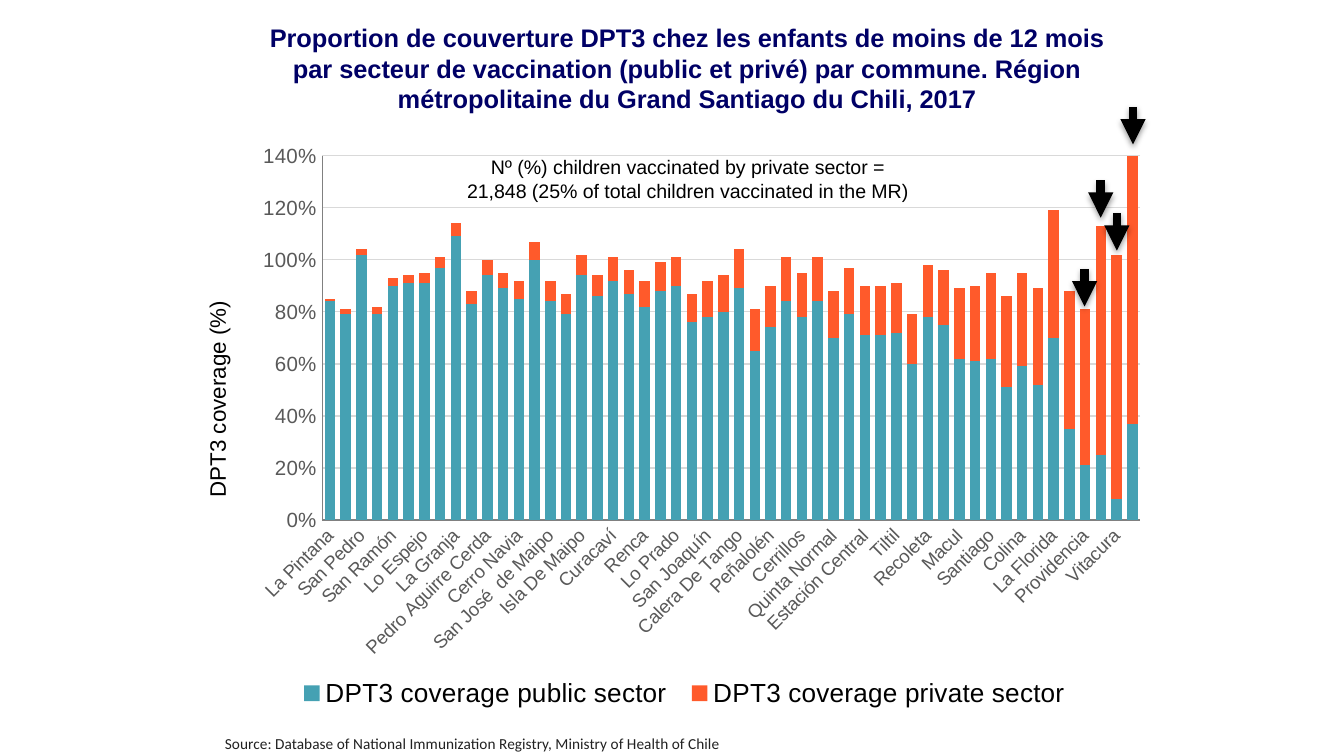
from lxml import etree
from pptx import Presentation
from pptx.chart.data import CategoryChartData
from pptx.dml.color import RGBColor
from pptx.enum.chart import XL_CHART_TYPE, XL_LEGEND_POSITION, XL_TICK_MARK
from pptx.enum.shapes import MSO_CONNECTOR
from pptx.enum.text import MSO_ANCHOR, PP_ALIGN
from pptx.oxml import parse_xml
from pptx.oxml.ns import nsdecls, qn
from pptx.util import Pt

PX = 4572  # 200 px to the inch

NAVY = RGBColor(0x00, 0x00, 0x66)
BLACK = RGBColor(0x00, 0x00, 0x00)
INK = RGBColor(0x21, 0x21, 0x21)
LABEL_GREY = RGBColor(0x59, 0x59, 0x59)
AXIS_GREY = RGBColor(0x80, 0x80, 0x80)
GRID_GREY = RGBColor(0xD9, 0xD9, 0xD9)
TEAL = RGBColor(0x45, 0xA1, 0xB3)
ORANGE = RGBColor(0xFF, 0x5A, 0x2B)

COMMUNES = [
    "La Pintana", "Alhué", "San Pedro", "El Monte", "San Ramón", "Paine",
    "Lo Espejo", "El Bosque", "La Granja", "San Bernardo",
    "Pedro Aguirre Cerda", "Talagante", "Cerro Navia", "María Pinto",
    "San José  de Maipo", "Puente Alto", "Isla De Maipo", "Conchalí",
    "Curacaví", "Peñaflor", "Renca", "Quilicura", "Lo Prado",
    "Independencia", "San Joaquín", "Pirque", "Calera De Tango",
    "La Cisterna", "Peñalolén", "Padre Hurtado", "Cerrillos", "Pudahuel",
    "Quinta Normal", "Melipilla", "Estación Central", "Maipú", "Tiltil",
    "Lampa", "Recoleta", "Buin", "Macul", "Huechuraba", "Santiago",
    "San Miguel", "Colina", "La Reina", "La Florida", "Ñuñoa",
    "Providencia", "Las Condes", "Vitacura", "Lo Barnechea",
]
PUBLIC = [
    0.84, 0.79, 1.02, 0.79, 0.9, 0.91, 0.91, 0.97, 1.09, 0.83, 0.94, 0.89, 0.85,
    1, 0.84, 0.79, 0.94, 0.86, 0.92, 0.87, 0.82, 0.88, 0.9, 0.76, 0.78, 0.8,
    0.89, 0.65, 0.74, 0.84, 0.78, 0.84, 0.7, 0.79, 0.71, 0.71, 0.72, 0.6, 0.78,
    0.75, 0.62, 0.61, 0.62, 0.51, 0.59, 0.52, 0.7, 0.35, 0.21, 0.25, 0.08, 0.37,
]
PRIVATE = [
    0.01, 0.02, 0.02, 0.03, 0.03, 0.03, 0.04, 0.04, 0.05, 0.05, 0.06, 0.06, 0.07,
    0.07, 0.08, 0.08, 0.08, 0.08, 0.09, 0.09, 0.1, 0.11, 0.11, 0.11, 0.14, 0.14,
    0.15, 0.16, 0.16, 0.17, 0.17, 0.17, 0.18, 0.18, 0.19, 0.19, 0.19, 0.19, 0.2,
    0.21, 0.27, 0.29, 0.33, 0.35, 0.36, 0.37, 0.49, 0.53, 0.6, 0.88, 0.94, 1.04,
]


def scaled(*lengths):
    return [length * PX for length in lengths]


def style(font, size, color, name="Arial", bold=False):
    font.size, font.name, font.bold = Pt(size), name, bold
    font.color.rgb = color


def add_title(slide, box, text):
    title = slide.shapes.title
    title.left, title.top, title.width, title.height = scaled(*box)
    title.text_frame.text = text
    title.text_frame.vertical_anchor = MSO_ANCHOR.MIDDLE
    paragraph = title.text_frame.paragraphs[0]
    paragraph.alignment = PP_ALIGN.CENTER
    style(paragraph.font, 13.6, NAVY, bold=True)


def add_caption(slide, box, text, size, color, name, align, wrap):
    frame = slide.shapes.add_textbox(*scaled(*box)).text_frame
    frame.word_wrap = wrap
    frame.text = text
    paragraph = frame.paragraphs[0]
    paragraph.alignment = align
    style(paragraph.font, size, color, name)


def set_layout(element, before, target=None, **fractions):
    """Fix a chart part at fractions of the chart's box."""
    for old in element.findall(qn("c:layout")):
        element.remove(old)
    layout = parse_xml(f"<c:layout {nsdecls('c')}><c:manualLayout/></c:layout>")
    manual = layout[0]
    settings = {"xMode": "edge", "yMode": "edge", **fractions}
    if target:
        settings = {"layoutTarget": target, **settings}
    for tag, value in settings.items():
        etree.SubElement(manual, qn(f"c:{tag}")).set("val", str(value))
    element.find(qn(before)).addprevious(layout)


def style_axis(axis, size):
    axis.major_tick_mark = axis.minor_tick_mark = XL_TICK_MARK.NONE
    style(axis.tick_labels.font, size, LABEL_GREY)
    axis.format.line.color.rgb = AXIS_GREY
    axis.format.line.width = Pt(0.75)


def add_coverage_chart(slide, box):
    data = CategoryChartData(number_format="0%")
    data.categories = COMMUNES
    data.add_series("DPT3 coverage public sector", PUBLIC)
    data.add_series("DPT3 coverage private sector", PRIVATE)
    chart = slide.shapes.add_chart(
        XL_CHART_TYPE.COLUMN_STACKED, *scaled(*box), data).chart
    style(chart.font, 10, BLACK)
    chart.has_title = False

    # Stacked columns
    plot = chart.plots[0]
    plot.gap_width, plot.overlap = 50, 100
    plot.vary_by_categories = False
    for series, color in zip(plot.series, (TEAL, ORANGE)):
        series.format.fill.solid()
        series.format.fill.fore_color.rgb = color
    plot_area = chart.element.find(".//" + qn("c:plotArea"))
    set_layout(plot_area, "c:barChart", "inner", x=0.145, y=0.04, w=0.835, h=0.62)

    # Commune axis with slanted labels
    communes = chart.category_axis
    style_axis(communes, 10)
    label_body = communes._element.find(qn("c:txPr")).find(qn("a:bodyPr"))
    label_body.set("rot", "-2700000")
    label_body.set("vert", "horz")

    # Coverage axis
    coverage = chart.value_axis
    style_axis(coverage, 11)
    coverage.minimum_scale, coverage.maximum_scale = 0, 1.4
    coverage.major_unit = 0.2
    coverage.tick_labels.number_format = "0%"
    coverage.tick_labels.number_format_is_linked = False
    coverage.major_gridlines.format.line.color.rgb = GRID_GREY
    coverage.major_gridlines.format.line.width = Pt(0.75)
    axis_title = coverage.axis_title
    axis_title.text_frame.text = "DPT3 coverage (%)"
    style(axis_title.text_frame.paragraphs[0].font, 12, BLACK)
    axis_title.text_frame._txBody.find(qn("a:bodyPr")).set("rot", "-5400000")
    set_layout(axis_title._element, "c:overlay", x=0.02, y=0.28)

    # Legend
    chart.has_legend = True
    chart.legend.position = XL_LEGEND_POSITION.BOTTOM
    chart.legend.include_in_layout = False
    style(chart.legend.font, 14, BLACK)
    set_layout(chart.legend._element, "c:overlay", x=0.11, y=0.91, w=0.81, h=0.09)


def add_down_arrow(slide, x, top, length=56):
    arrow = slide.shapes.add_connector(
        MSO_CONNECTOR.STRAIGHT, *scaled(x, top, x, top + length))
    arrow.line.color.rgb = BLACK
    arrow.line.width = Pt(4.5)
    line = arrow.line._get_or_add_ln()
    etree.SubElement(line, qn("a:tailEnd")).set("type", "triangle")
    line.addnext(parse_xml(
        f"<a:effectLst {nsdecls('a')}>"
        f'<a:outerShdw blurRad="{Pt(3.1)}" dist="{Pt(1.6)}" dir="5400000" rotWithShape="0">'
        '<a:srgbClr val="000000"><a:alpha val="38000"/></a:srgbClr>'
        "</a:outerShdw></a:effectLst>"))


def main():
    deck = Presentation()
    deck.slide_width, deck.slide_height = scaled(2000, 1125)
    slide = deck.slides.add_slide(deck.slide_layouts[5])

    add_title(slide, (354, 24, 1336, 154),
              "Proportion de couverture DPT3 chez les enfants de moins de 12 mois "
              "par secteur de vaccination (public et privé) par commune. Région "
              "métropolitaine du Grand Santiago du Chili, 2017")
    add_coverage_chart(slide, (268, 197, 1458, 874))

    # Arrows over the communes led by the private sector
    for x, top in ((1614, 400), (1638, 268), (1686, 159), (1662, 317)):
        add_down_arrow(slide, x, top)

    add_caption(slide, (670, 221, 708, 90),
                "Nº (%) children vaccinated by private sector = "
                "21,848 (25% of total children vaccinated in the MR)",
                10.5, BLACK, "Arial", PP_ALIGN.CENTER, True)
    add_caption(slide, (315, 1083, 794, 48),
                "Source: Database of National Immunization Registry, "
                "Ministry of Health of Chile",
                8.25, INK, "Calibri", PP_ALIGN.LEFT, False)
    deck.save("out.pptx")


if __name__ == "__main__":
    main()
